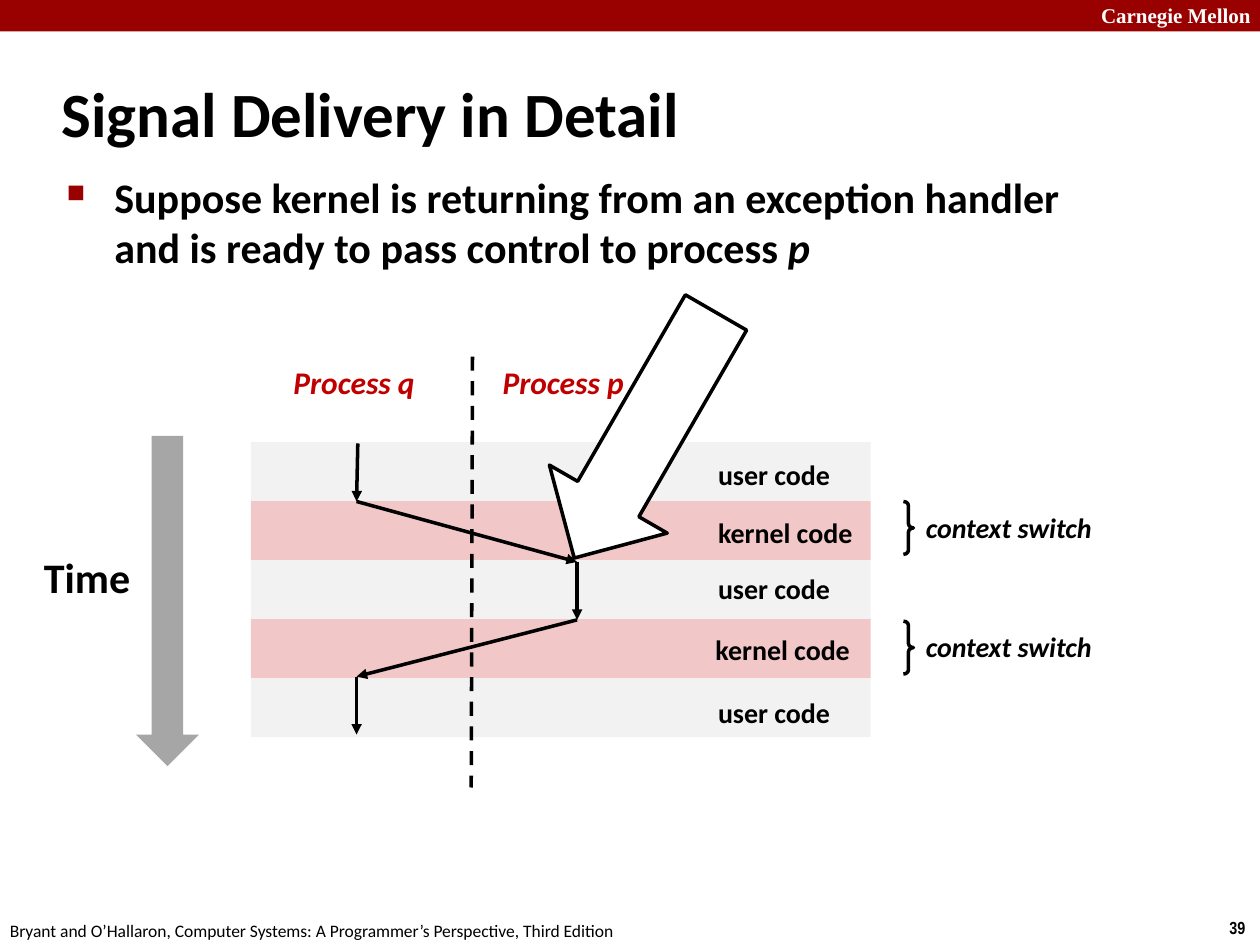
"""Build the slide 'Signal Delivery in Detail' with a context-switch timeline."""
from lxml.etree import SubElement
from pptx import Presentation
from pptx.dml.color import RGBColor as RGB
from pptx.enum.dml import MSO_LINE as DASH
from pptx.enum.shapes import MSO_CONNECTOR as CONN, MSO_SHAPE as SHAPE
from pptx.enum.text import MSO_ANCHOR as ANCHOR
from pptx.oxml.ns import qn
from pptx.util import Inches, Pt

C = {"bar": "990000", "black": "000000", "white": "FFFFFF", "red": "C00000",
     "kernel": "F1C7C7", "user": "F2F2F2", "time": "A6A6A6"}

prs = Presentation()
prs.slide_width, prs.slide_height = Inches(10), Inches(7.5)
s = prs.slides.add_slide(prs.slide_layouts[6])
col, row = prs.slide_width // 100, prs.slide_height // 75


def shape(kind, x, y, w, h, fill=None, line=None):
    sp = s.shapes.add_shape(kind, int(x * col), int(y * row), int(w * col), int(h * row))
    sp.shadow.inherit = False
    if fill:
        sp.fill.solid()
        sp.fill.fore_color.rgb = RGB.from_string(C[fill])
    else:
        sp.fill.background()
    if line:
        sp.line.color.rgb = RGB.from_string(C[line])
        sp.line.width = Pt(2)
    else:
        sp.line.fill.background()
    return sp


def label(text, x, y, w, h, size, color="black", bold=True, italic=False,
          font="Calibri", wrap=False):
    sp = s.shapes.add_textbox(int(x * col), int(y * row), int(w * col), int(h * row))
    tf = sp.text_frame
    tf.word_wrap = wrap
    tf.text = text
    f = tf.paragraphs[0].runs[0].font
    f.name, f.size, f.bold, f.italic = font, Pt(size), bold, italic
    f.color.rgb = RGB.from_string(C[color])
    return tf


shape(SHAPE.RECTANGLE, 0, 0, 100, 2.5, "bar")
label("Carnegie Mellon", 86.4, -0.3, 14.3, 3, 12, "white", font="Times New Roman", wrap=True)
label("39", 96.6, 72.3, 3.4, 2.7, 10, font="Arial Narrow")
label("Bryant and O’Hallaron, Computer Systems: A Programmer’s Perspective, Third Edition",
      -0.2, 72.5, 50.8, 2.7, 10, bold=False)
tf = label("Signal Delivery in Detail", 3.9, 4.8, 83, 8.3, 36, wrap=True)
tf.vertical_anchor = ANCHOR.MIDDLE

tf = label("Suppose kernel is returning from an exception handler and is ready "
           "to pass control to process ", 4.3, 13.1, 86.4, 11.9, 24, wrap=True)
p = tf.paragraphs[0]
pPr = p._p.get_or_add_pPr()
pPr.set("marL", str(Inches(0.38)))
pPr.set("indent", str(-Inches(0.38)))
SubElement(SubElement(pPr, qn("a:buClr")), qn("a:srgbClr"), val=C["bar"])
SubElement(pPr, qn("a:buSzPct"), val="60000")
SubElement(pPr, qn("a:buChar"), char="■")
r = p.add_run()
r.text = "p"
f = r.font
f.name, f.size, f.bold, f.italic = "Calibri", Pt(24), True, True
f.color.rgb = RGB.from_string(C["black"])

top, band = 35.1, 4.68
for i in range(5):
    shape(SHAPE.RECTANGLE, 19.9, top + i * band, 49.2, band, ("user", "kernel")[i % 2])

for name, x in (("Process q", 22.3), ("Process p", 38.9)):
    label(name, x, 28.3, 11.9, 4, 18, "red", italic=True)

for i, (x, y) in enumerate([(56, 35.8), (56, 40.4), (56, 44.9), (55.8, 49.7), (56, 54.7)]):
    label(("user code", "kernel code")[i % 2], x, y, 12.8, 3.7, 16)

for y in (39.8, 49.3):
    sp = shape(SHAPE.RIGHT_BRACE, 71.7, y, 0.8, 4.2, line="black")
    sp.adjustments[0] = 0.42
    label("context switch", 72.5, y + 0.2, 15.4, 3.7, 16, italic=True)

label("Time", 2.5, 43.3, 8.9, 5, 24)
shape(SHAPE.DOWN_ARROW, 10.8, 34.6, 5, 26.2, "time")

q, px = 28.3, 45.8
flow = [(q + 0.1, 35.2, q, 39.8), (q, 39.8, px, 44.6), (px, 44.6, px, 49.2),
        (px, 49.2, q, 53.7), (q, 53.7, q, 58.3)]
divider = (37.5, 28.3, 37.4, 62.5)
for x1, y1, x2, y2 in [divider] + flow:
    cn = s.shapes.add_connector(CONN.STRAIGHT, int(x1 * col), int(y1 * row),
                                int(x2 * col), int(y2 * row))
    cn.line.color.rgb = RGB.from_string(C["black"])
    cn.line.width = Pt(2)
    if (x1, y1, x2, y2) == divider:
        cn.line.dash_style = DASH.DASH
    else:
        SubElement(cn.line._get_or_add_ln(), qn("a:tailEnd"), type="triangle")
    SubElement(cn._element.spPr, qn("a:effectLst"))

sp = shape(SHAPE.DOWN_ARROW, 45.8, 23.3, 10.8, 22.5, "white", "black")
sp.adjustments[0], sp.adjustments[1] = 0.52, 0.5
sp.rotation = 30

prs.save("out.pptx")
